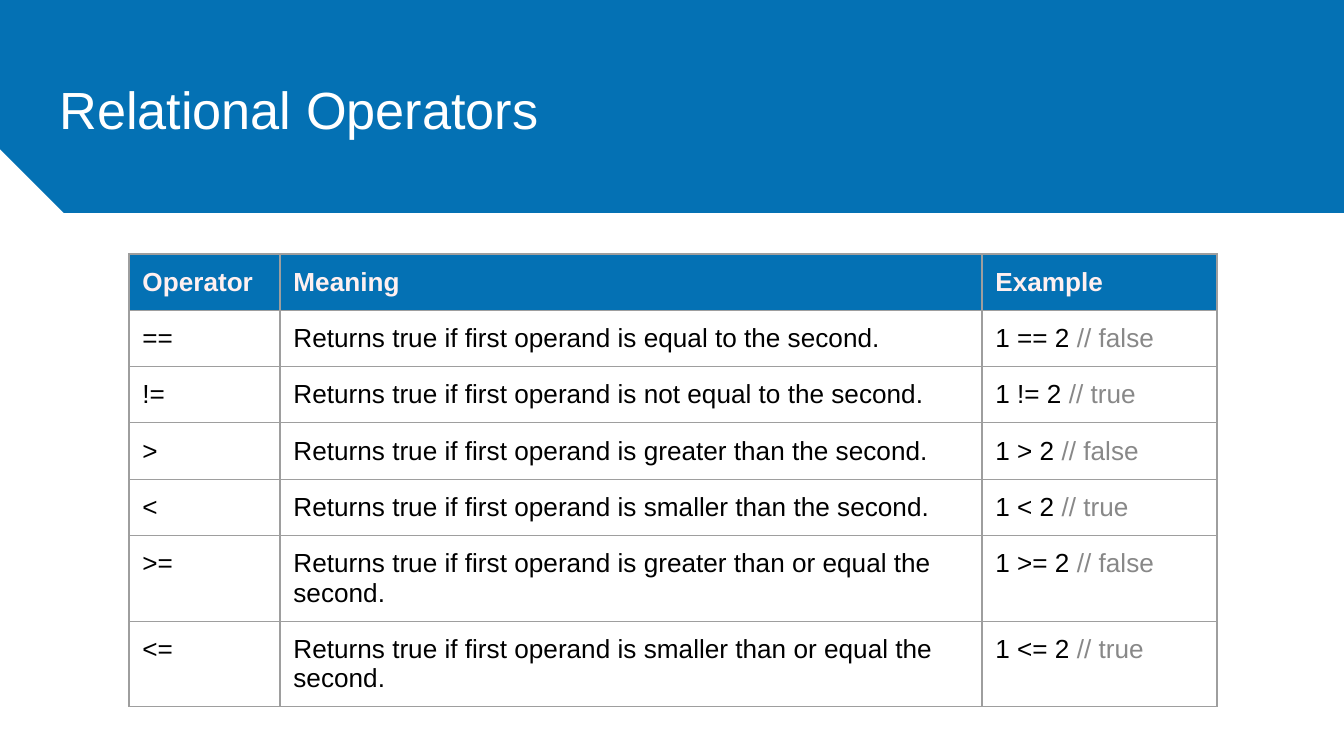
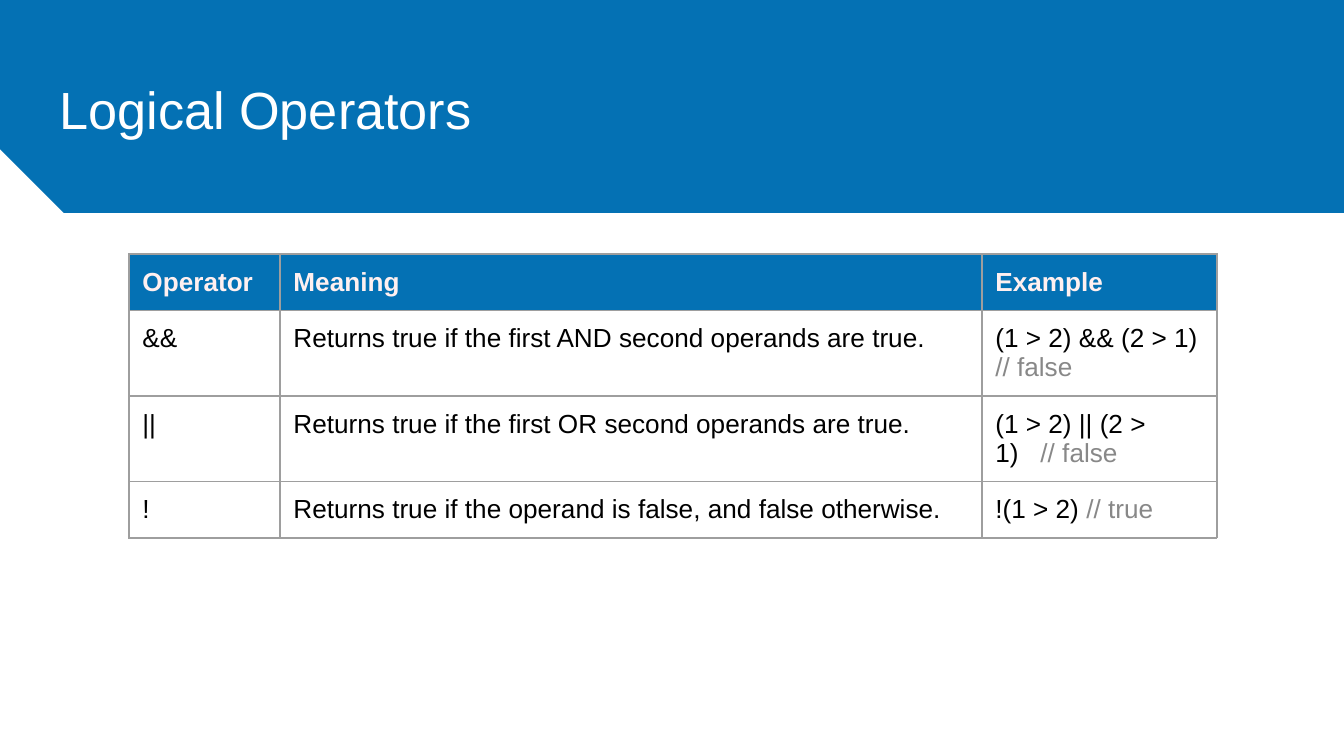
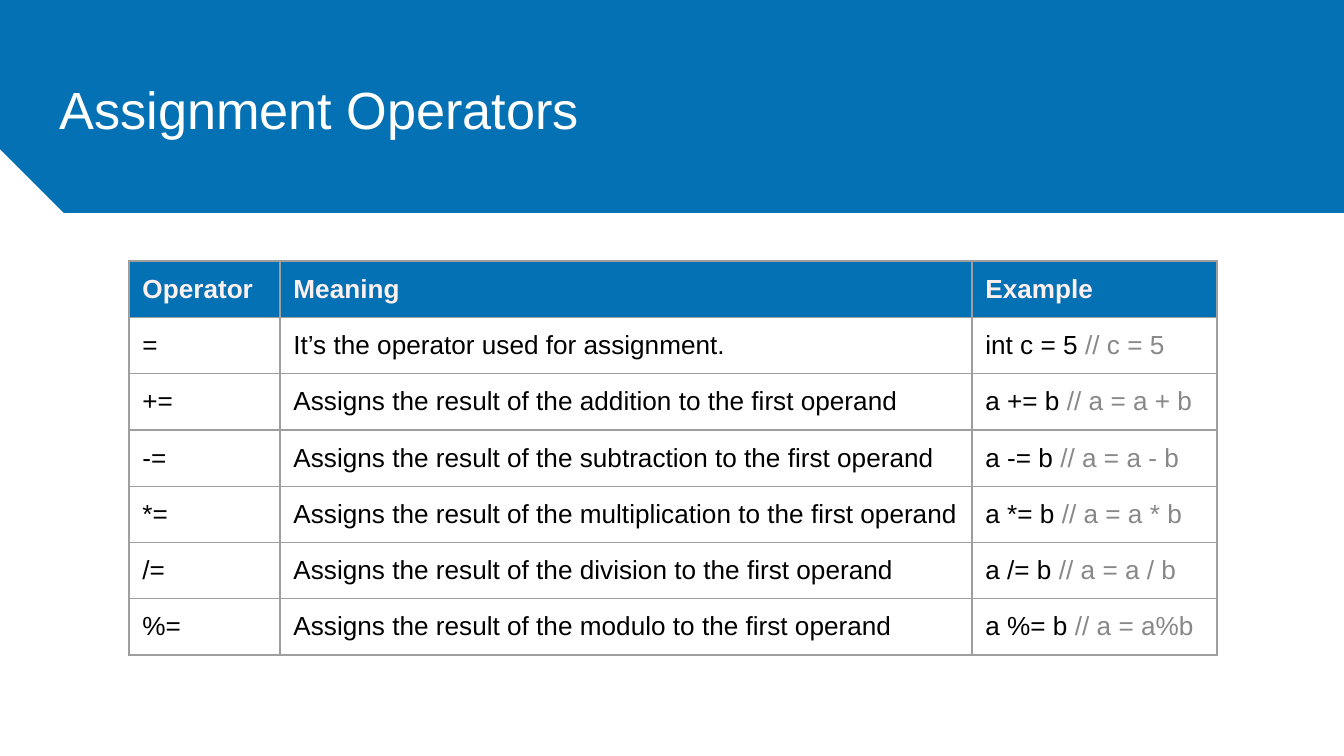
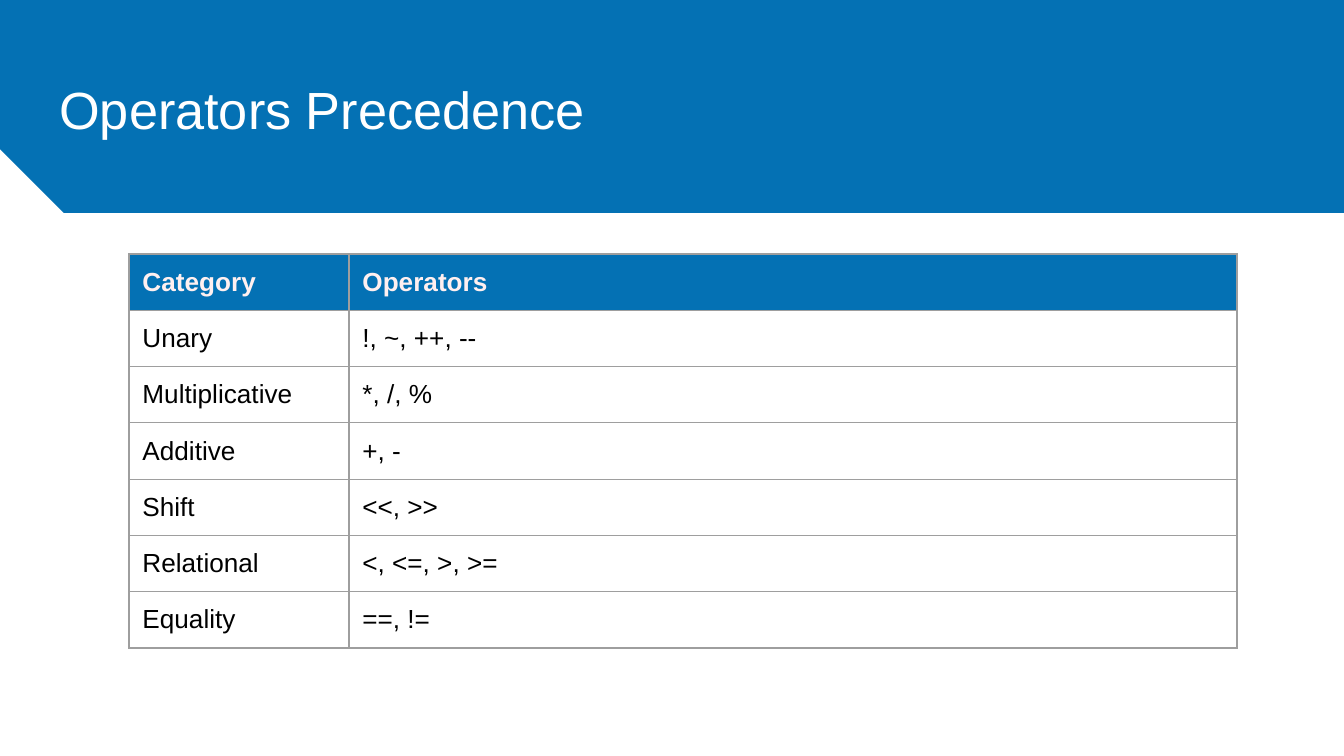
"""Builds four slides of operator tables."""
from dataclasses import dataclass

from lxml import etree
from pptx import Presentation
from pptx import util as u
from pptx.dml.color import RGBColor
from pptx.enum import shapes, text
from pptx.oxml import ns

EMU_PER_PX = 914400 / 134.4
SLIDE_WIDTH, SLIDE_HEIGHT = 1344, 756
TITLE_ONLY = 5


@dataclass(frozen=True)
class Theme:
    """Colours, font and type sizes of the deck."""
    blue: str = "0471B4"
    white: str = "FFFFFF"
    header: str = "FFF0F0"
    ink: str = "000000"
    comment: str = "888888"
    border: str = "9E9E9E"
    font: str = "Arial"
    title_size: int = 28
    table_size: int = 14
    border_width: float = 0.75


def px(length):
    """Turn pixels into EMU."""
    return u.Emu(round(length * EMU_PER_PX))


class Deck:
    """Holds the style and the current slide."""

    def __init__(self, theme):
        """Start an empty presentation."""
        self.theme = theme
        self.presentation = Presentation()
        self.presentation.slide_width = px(SLIDE_WIDTH)
        self.presentation.slide_height = px(SLIDE_HEIGHT)
        self.slide = None

    def add_slide(self, title):
        """Add a slide with its band and title."""
        layout = self.presentation.slide_layouts[TITLE_ONLY]
        self.slide = self.presentation.slides.add_slide(layout)
        self.add_band()
        self.set_title(title)

    def add_band(self):
        """Draw the blue band behind the title."""
        band = self.slide.shapes.add_shape(
            shapes.MSO_SHAPE.SNIP_1_RECTANGLE, 0, 0, px(SLIDE_WIDTH), px(213))
        band.rotation = 180
        band.adjustments[0] = 0.3
        band.shadow.inherit = False
        band.fill.solid()
        band.fill.fore_color.rgb = RGBColor.from_string(self.theme.blue)
        band.line.fill.background()
        self.slide.shapes.title.element.addprevious(band.element)

    def set_title(self, title):
        """Fill and place the title placeholder."""
        shape = self.slide.shapes.title
        shape.left, shape.top, shape.width, shape.height = map(px, (46, 66, 1253, 85))
        frame = shape.text_frame
        frame.text = title
        frame.word_wrap = True
        frame.auto_size = text.MSO_AUTO_SIZE.NONE
        frame.vertical_anchor = text.MSO_ANCHOR.MIDDLE
        self.set_insets(frame)
        paragraph = frame.paragraphs[0]
        paragraph.alignment = text.PP_ALIGN.LEFT
        self.set_font(paragraph, self.theme.title_size, self.theme.white)

    def add_table(self, header, rows, widths, top=254, row_height=56):
        """Add a table whose first row is the header."""
        lines = [header, *rows]
        table = self.slide.shapes.add_table(
            len(lines), len(widths), px(129), px(top),
            px(sum(widths)), px(row_height * len(lines))).table
        table.first_row = table.horz_banding = False
        for column, width in zip(table.columns, widths):
            column.width = px(width)
        for row, values in zip(table.rows, lines):
            row.height = px(row_height)
            for cell, value in zip(row.cells, values):
                self.fill_cell(cell, value, values is header)

    def fill_cell(self, cell, value, is_header):
        """Write one cell, greying a trailing code comment."""
        self.set_insets(cell)
        self.set_borders(cell)
        paragraph = cell.text_frame.paragraphs[0]
        code, slashes, note = value, "", ""
        if " // " in value or "\N{NO-BREAK SPACE}// " in value:
            code, slashes, note = value.partition("//")
        paragraph.add_run().text = code
        if note:
            run = paragraph.add_run()
            run.text = slashes + note
            run.font.color.rgb = RGBColor.from_string(self.theme.comment)
        color = self.theme.header if is_header else self.theme.ink
        self.set_font(paragraph, self.theme.table_size, color, is_header)
        if is_header:
            cell.fill.solid()
            cell.fill.fore_color.rgb = RGBColor.from_string(self.theme.blue)
        else:
            cell.fill.background()

    def set_borders(self, cell):
        """Draw the same thin line on all four sides of a cell."""
        properties = cell._tc.get_or_add_tcPr()
        for side in ("a:lnL", "a:lnR", "a:lnT", "a:lnB"):
            line = etree.SubElement(properties, ns.qn(side),
                                    w=str(u.Pt(self.theme.border_width)))
            fill = etree.SubElement(line, ns.qn("a:solidFill"))
            etree.SubElement(fill, ns.qn("a:srgbClr"), val=self.theme.border)

    def set_font(self, paragraph, size, color, bold=False):
        """Set the font of a whole paragraph."""
        font = paragraph.font
        font.name, font.size, font.bold = self.theme.font, u.Pt(size), bold
        font.color.rgb = RGBColor.from_string(color)

    def set_insets(self, holder):
        """Give a text frame or a cell equal margins."""
        holder.margin_left = holder.margin_right = u.Inches(0.1)
        holder.margin_top = holder.margin_bottom = u.Inches(0.1)


def main():
    """Build and save the deck."""
    deck = Deck(Theme())
    header = ("Operator", "Meaning", "Example")

    deck.add_slide("Relational Operators")
    relations = (
        ("==", "equal to", "false"),
        ("!=", "not equal to", "true"),
        (">", "greater than", "false"),
        ("<", "smaller than", "true"),
        (">=", "greater than or equal", "false"),
        ("<=", "smaller than or equal", "true"),
    )
    deck.add_table(header, [
        (sign, f"Returns true if first operand is {relation} the second.",
         f"1 {sign} 2 // {result}")
        for sign, relation, result in relations], (151, 702, 235))

    deck.add_slide("Logical Operators")
    gap = "\N{NO-BREAK SPACE}" * 3
    deck.add_table(header, [
        ("&&", "Returns true if the first AND second operands are true.",
         "(1 > 2) && (2 > 1) // false"),
        ("||", "Returns true if the first OR second operands are true.",
         f"(1 > 2) || (2 > 1){gap}// false"),
        ("!", "Returns true if the operand is false, and false otherwise.",
         "!(1 > 2) // true"),
    ], (151, 702, 235))

    deck.add_slide("Assignment Operators")
    assignments = (
        ("+=", "addition", "a + b"),
        ("-=", "subtraction", "a - b"),
        ("*=", "multiplication", "a * b"),
        ("/=", "division", "a / b"),
        ("%=", "modulo", "a%b"),
    )
    deck.add_table(header, [
        ("=", "It’s the operator used for assignment.", "int c = 5 // c = 5"),
        *((sign, f"Assigns the result of the {operation} to the first operand",
           f"a {sign} b // a = {result}")
          for sign, operation, result in assignments),
    ], (151, 692, 245), top=261)

    deck.add_slide("Operators Precedence")
    deck.add_table(("Category", "Operators"), [
        ("Unary", "!, ~, ++, --"),
        ("Multiplicative", "*, /, %"),
        ("Additive", "+, -"),
        ("Shift", "<<, >>"),
        ("Relational", "<, <=, >, >="),
        ("Equality", "==, !="),
    ], (220, 888))

    deck.presentation.save("out.pptx")


if __name__ == "__main__":
    main()
